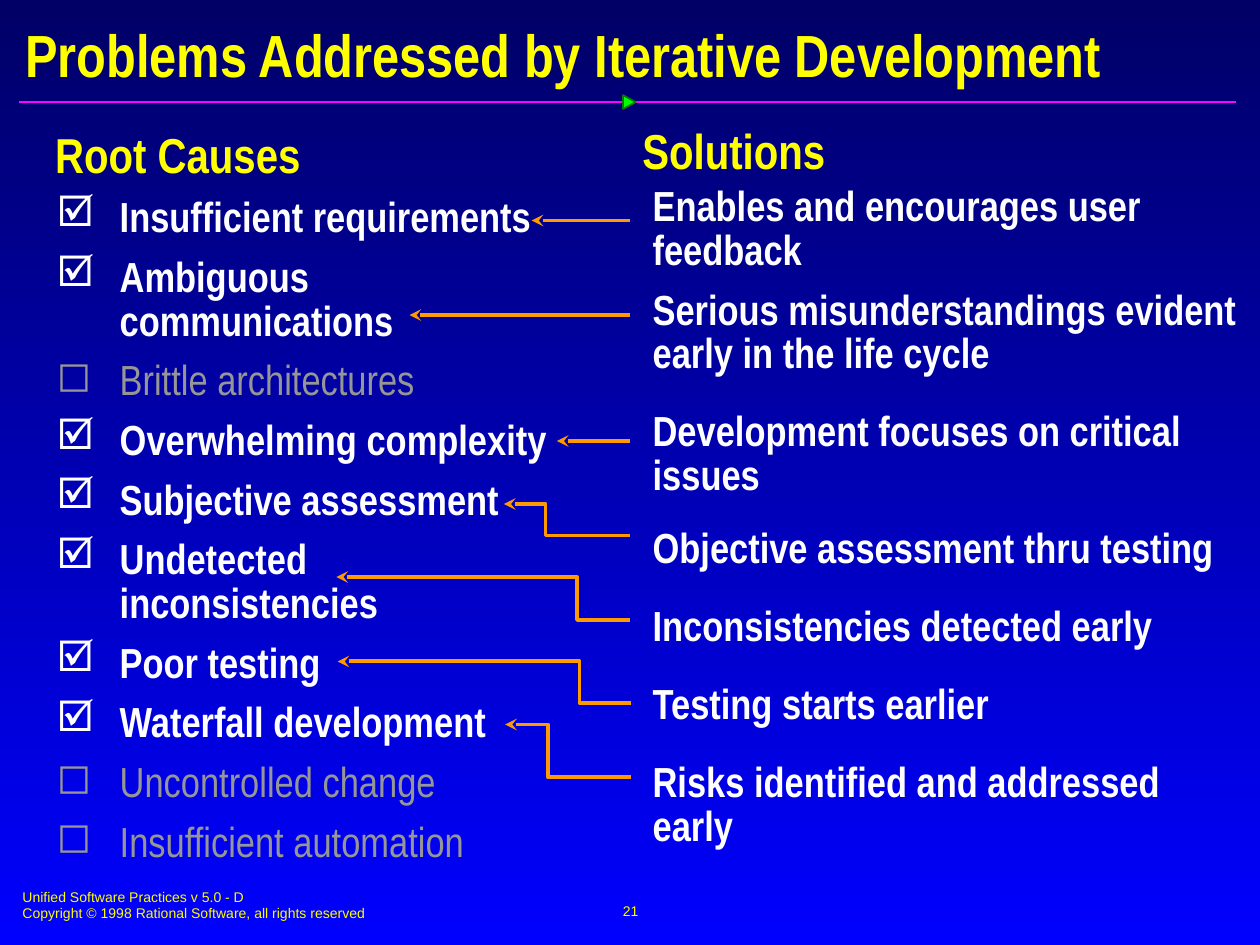
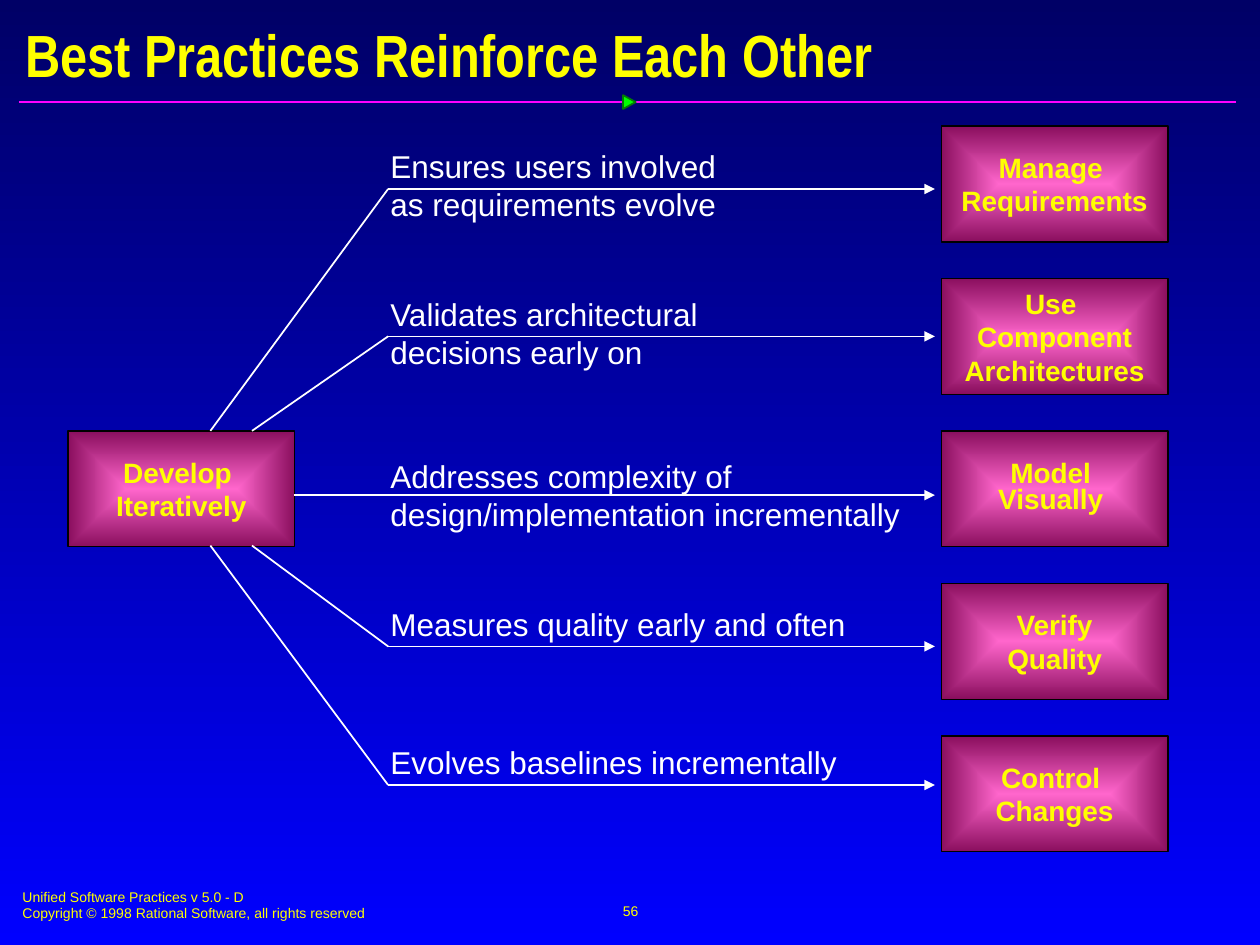
from dataclasses import dataclass
from typing import NamedTuple, Optional

import lxml.etree
import pptx
import pptx.dml.color
import pptx.enum.dml
import pptx.enum.shapes
import pptx.enum.text
import pptx.oxml
import pptx.oxml.ns
import pptx.util

Inches = pptx.util.Inches
Align = pptx.enum.text.PP_ALIGN
Anchor = pptx.enum.text.MSO_ANCHOR
Preset = pptx.enum.shapes.MSO_SHAPE

YELLOW, WHITE, GREY, ORANGE = "FFFF00", "FFFFFF", "969696", "FF9900"
NAVY, BLUE, PINK, PLUM = "000066", "0000FF", "FF66CC", "8A0E5E"
MAGENTA, GREEN, DARK_GREEN, BLACK = "FF01FF", "00FF00", "037C03", "000000"


class Box(NamedTuple):
    left: float
    top: float
    width: float
    height: float


class TextStyle(NamedTuple):
    size: float
    color: str
    font: str = "Arial"
    bold: bool = False


TITLE = TextStyle(34, YELLOW, "Arial Narrow", True)
HEADING = TextStyle(28, YELLOW, "Arial Narrow", True)
ITEM = TextStyle(24, WHITE, "Arial Narrow", True)
FADED_ITEM = TextStyle(24, GREY, "Arial Narrow")
FOOTER = TextStyle(8, YELLOW)
PRACTICE = TextStyle(16, YELLOW, bold=True)
BENEFIT = TextStyle(18, WHITE)


@dataclass
class Cause:
    text: str
    addressed: bool = True


@dataclass
class Solution:
    text: str
    space_before: float


@dataclass
class CauseArrow:
    tip: float
    tip_y: float
    bend: Optional[float] = None
    start: float = 5
    start_y: float = 0


@dataclass
class Practice:
    name: list
    benefit: list
    arrow_y: float
    benefit_top: float
    branch: Optional[tuple] = None
    spacing: float = 1.0


CAUSES = [
    Cause("Insufficient requirements"),
    Cause("Ambiguous communications"),
    Cause("Brittle architectures", False),
    Cause("Overwhelming complexity"),
    Cause("Subjective assessment"),
    Cause("Undetected inconsistencies"),
    Cause("Poor testing"),
    Cause("Waterfall development"),
    Cause("Uncontrolled change", False),
    Cause("Insufficient automation", False),
]
SOLUTIONS = [
    Solution("Enables and encourages user feedback", 0),
    Solution("Serious misunderstandings evident early in the life cycle", 9),
    Solution("Development focuses on critical issues", 19.5),
    Solution("Objective assessment thru testing", 16.5),
    Solution("Inconsistencies detected early", 19.5),
    Solution("Testing starts earlier", 19.5),
    Solution("Risks identified and addressed early", 19.5),
]
CAUSE_ARROWS = [
    CauseArrow(4.22, 1.75),
    CauseArrow(3.25, 2.5),
    CauseArrow(4.42, 3.5),
    CauseArrow(4, 4, 4.33, 5, 4.25),
    CauseArrow(2.67, 4.58, 4.58, 5, 4.92),
    CauseArrow(2.68, 5.25, 4.6, 5.01, 5.58),
    CauseArrow(4.01, 5.75, 4.35, 5.01, 6.17),
]
PRACTICES = [
    Practice(["Manage ", "Requirements"],
             ["Ensures users involved", "as requirements evolve"],
             1.5, 1.12, (1.67, 3.42)),
    Practice(["Use ", "Component", "Architectures"],
             ["Validates architectural", "decisions early on"],
             2.67, 2.29, (2, 3.42)),
    Practice(["Model ", "Visually "],
             ["Addresses complexity of", "design/implementation incrementally"],
             3.93, 3.58, spacing=0.75),
    Practice(["Verify", "Quality"], ["Measures quality early and often"],
             5.13, 4.75, (2, 4.33)),
    Practice(["Control ", "Changes"], ["Evolves baselines incrementally"],
             6.23, 5.85, (1.67, 4.33)),
]


# Drawing helpers
def rgb(color: str):
    return pptx.dml.color.RGBColor.from_string(color)


def paint(fill, color: str) -> None:
    fill.solid()
    fill.fore_color.rgb = rgb(color)


def blend(fill, first: str, last: str) -> None:
    fill.gradient()
    for stop, color in zip(fill.gradient_stops, (first, last)):
        stop.color.rgb = rgb(color)


def add_xml(parent, tag: str, **attributes: str):
    child = lxml.etree.SubElement(parent, pptx.oxml.ns.qn(tag))
    for name, value in attributes.items():
        child.set(name, value)
    return child


def set_line(shape, color: str, width: float, head: str = "", tail: str = "") -> None:
    paint(shape.line.fill, color)
    shape.line.width = pptx.util.Pt(width)
    outline = shape.line._get_or_add_ln()
    for tag, kind in (("a:headEnd", head), ("a:tailEnd", tail)):
        if kind:
            add_xml(outline, tag, type=kind)


def add_line(page, start: tuple, end: tuple, color: str, width: float = 1,
             head: str = "", tail: str = "") -> None:
    line = page.shapes.add_connector(
        pptx.enum.shapes.MSO_CONNECTOR.STRAIGHT,
        *(Inches(value) for value in (*start, *end)))
    set_line(line, color, width, head, tail)
    add_xml(line._element.spPr, "a:effectLst")


def add_preset(page, preset, box: Box):
    shape = page.shapes.add_shape(preset, *map(Inches, box))
    shape.shadow.inherit = False
    return shape


def set_frame(frame, inset: float = 0.1, anchor=Anchor.TOP) -> None:
    frame.word_wrap = True
    frame.auto_size = pptx.enum.text.MSO_AUTO_SIZE.NONE
    frame.vertical_anchor = anchor
    frame.margin_left = frame.margin_right = Inches(inset)
    frame.margin_top = frame.margin_bottom = Inches(inset / 2)


def add_text_frame(page, box: Box, inset: float = 0.1, anchor=Anchor.TOP):
    frame = page.shapes.add_textbox(*map(Inches, box)).text_frame
    set_frame(frame, inset, anchor)
    return frame


def add_para(frame, text: str, style: TextStyle, align=Align.LEFT,
             spacing: float = 1.0, before: float = 0):
    first = frame.paragraphs[0]
    para = frame.add_paragraph() if first.runs else first
    para.alignment = align
    para.line_spacing = spacing
    para.space_before = pptx.util.Pt(before)
    span = para.add_run()
    span.text = text
    span.font.name = style.font
    span.font.size = pptx.util.Pt(style.size)
    span.font.bold = style.bold
    span.font.color.rgb = rgb(style.color)
    return para


def set_indent(para, left: float, hanging: float = 0):
    properties = para._p.get_or_add_pPr()
    properties.set("marL", str(Inches(left)))
    properties.set("indent", str(-Inches(hanging)))
    return properties


# Parts shared by the slides
def add_page(deck, title: str, number: int):
    page = deck.slides.add_slide(deck.slide_layouts[5])
    heading = page.shapes.title
    heading.left, heading.top, heading.width, heading.height = map(
        Inches, Box(0.1, 0.14, 9.84, 0.58))
    set_frame(heading.text_frame, anchor=Anchor.MIDDLE)
    add_para(heading.text_frame, title, TITLE)

    add_line(page, (0.15, 0.81), (9.81, 0.81), MAGENTA)
    marker = add_preset(page, Preset.ISOSCELES_TRIANGLE, Box(4.94, 0.76, 0.11, 0.1))
    marker.rotation = 90
    paint(marker.fill, GREEN)
    set_line(marker, DARK_GREEN, 1)

    footer = add_text_frame(page, Box(0.08, 7, 5.1, 0.37))
    add_para(footer, "Unified Software Practices v 5.0 - D", FOOTER)
    add_para(footer, "Copyright © 1998 Rational Software, all rights reserved", FOOTER)
    counter = add_text_frame(page, Box(3.42, 6.98, 3.17, 0.5), anchor=Anchor.MIDDLE)
    add_para(counter, str(number), FOOTER, Align.CENTER)
    return page


# Causes and solutions
def add_cause_arrow(page, arrow: CauseArrow) -> None:
    tip = (arrow.tip, arrow.tip_y)
    if arrow.bend is None:
        add_line(page, tip, (arrow.start, arrow.tip_y), ORANGE, 2.25, head="stealth")
        return
    corners = [(arrow.bend, arrow.tip_y), (arrow.bend, arrow.start_y),
               (arrow.start, arrow.start_y)]
    builder = page.shapes.build_freeform(*map(Inches, tip))
    builder.add_line_segments(
        [(Inches(x), Inches(y)) for x, y in corners], close=False)
    elbow = builder.convert_to_shape()
    elbow.shadow.inherit = False
    elbow.fill.background()
    set_line(elbow, ORANGE, 2.25, head="stealth")


def add_problems_page(deck) -> None:
    page = add_page(deck, "Problems Addressed by Iterative Development", 21)
    add_para(add_text_frame(page, Box(0.34, 0.94, 2.4, 0.57)), "Root Causes", HEADING)
    add_para(add_text_frame(page, Box(5, 0.91, 2.4, 0.57)), "Solutions", HEADING)

    causes = add_text_frame(page, Box(0.33, 1.51, 4.25, 4.68), 0.12)
    for index, cause in enumerate(CAUSES):
        style = ITEM if cause.addressed else FADED_ITEM
        para = add_para(causes, cause.text, style, spacing=0.87,
                        before=9 if index else 0)
        properties = set_indent(para, 0.5, 0.5)
        add_xml(add_xml(properties, "a:buClr"), "a:srgbClr", val=style.color)
        add_xml(properties, "a:buChar", char="☑" if cause.addressed else "◻")

    solutions = add_text_frame(page, Box(5, 1.42, 5, 5.52), 0.12)
    for solution in SOLUTIONS:
        para = add_para(solutions, solution.text, ITEM, spacing=0.87,
                        before=solution.space_before)
        set_indent(para, 0.06)

    for arrow in CAUSE_ARROWS:
        add_cause_arrow(page, arrow)


# Practices joined to iterative development
def add_practice_box(page, left: float, top: float, name: list,
                     spacing: float = 1.0) -> None:
    shape = add_preset(page, Preset.RECTANGLE, Box(left, top, 1.8, 0.92))
    blend(shape.fill, PINK, PLUM)
    gradient = shape._element.spPr.find(pptx.oxml.ns.qn("a:gradFill"))
    gradient.remove(gradient.find(pptx.oxml.ns.qn("a:lin")))
    glow = add_xml(gradient, "a:path", path="rect")
    add_xml(glow, "a:fillToRect", l="50000", t="50000", r="50000", b="50000")
    set_line(shape, BLACK, 0.75)
    set_frame(shape.text_frame, anchor=Anchor.MIDDLE)
    for text in name:
        add_para(shape.text_frame, text, PRACTICE, Align.CENTER, spacing)


def add_practices_page(deck) -> None:
    page = add_page(deck, "Best Practices Reinforce Each Other", 56)
    add_practice_box(page, 0.54, 3.42, ["Develop ", "Iteratively"])
    for row, practice in enumerate(PRACTICES):
        add_practice_box(page, 7.47, 1 + 1.21 * row, practice.name, practice.spacing)
        elbow = (3.08 if practice.branch else 2.33, practice.arrow_y)
        add_line(page, elbow, (7.42, practice.arrow_y), WHITE, tail="triangle")
        if practice.branch:
            add_line(page, practice.branch, elbow, WHITE)
        height = 0.1 + 0.3 * len(practice.benefit)
        benefit = add_text_frame(page, Box(3, practice.benefit_top, 4.4, height))
        for text in practice.benefit:
            add_para(benefit, text, BENEFIT)


def main() -> None:
    deck = pptx.Presentation()
    deck.slide_width, deck.slide_height = Inches(10), Inches(7.5)
    backdrop = deck.slide_master.background.fill
    blend(backdrop, NAVY, BLUE)
    backdrop.gradient_angle = 270
    add_problems_page(deck)
    add_practices_page(deck)
    deck.save("out.pptx")


if __name__ == "__main__":
    main()
